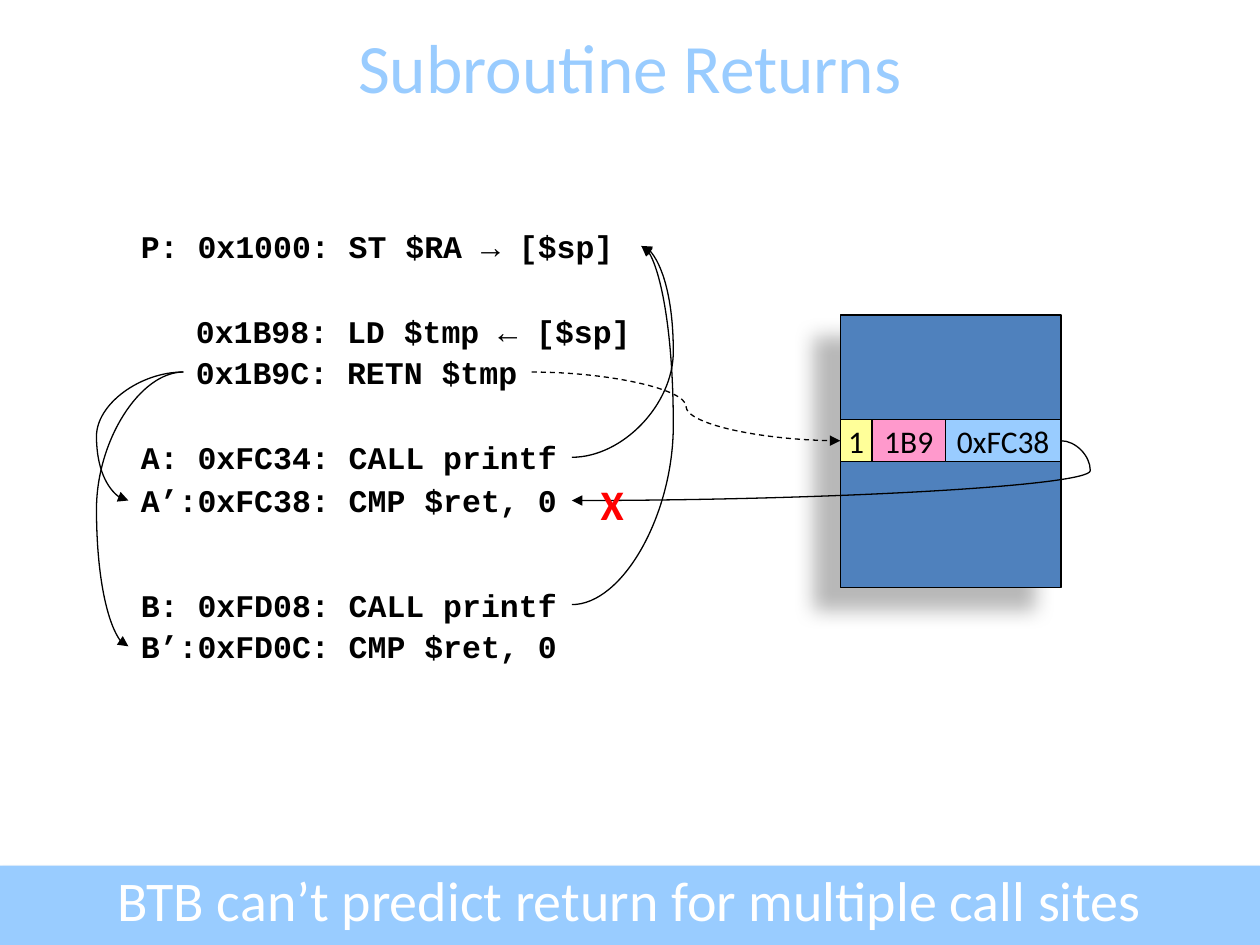
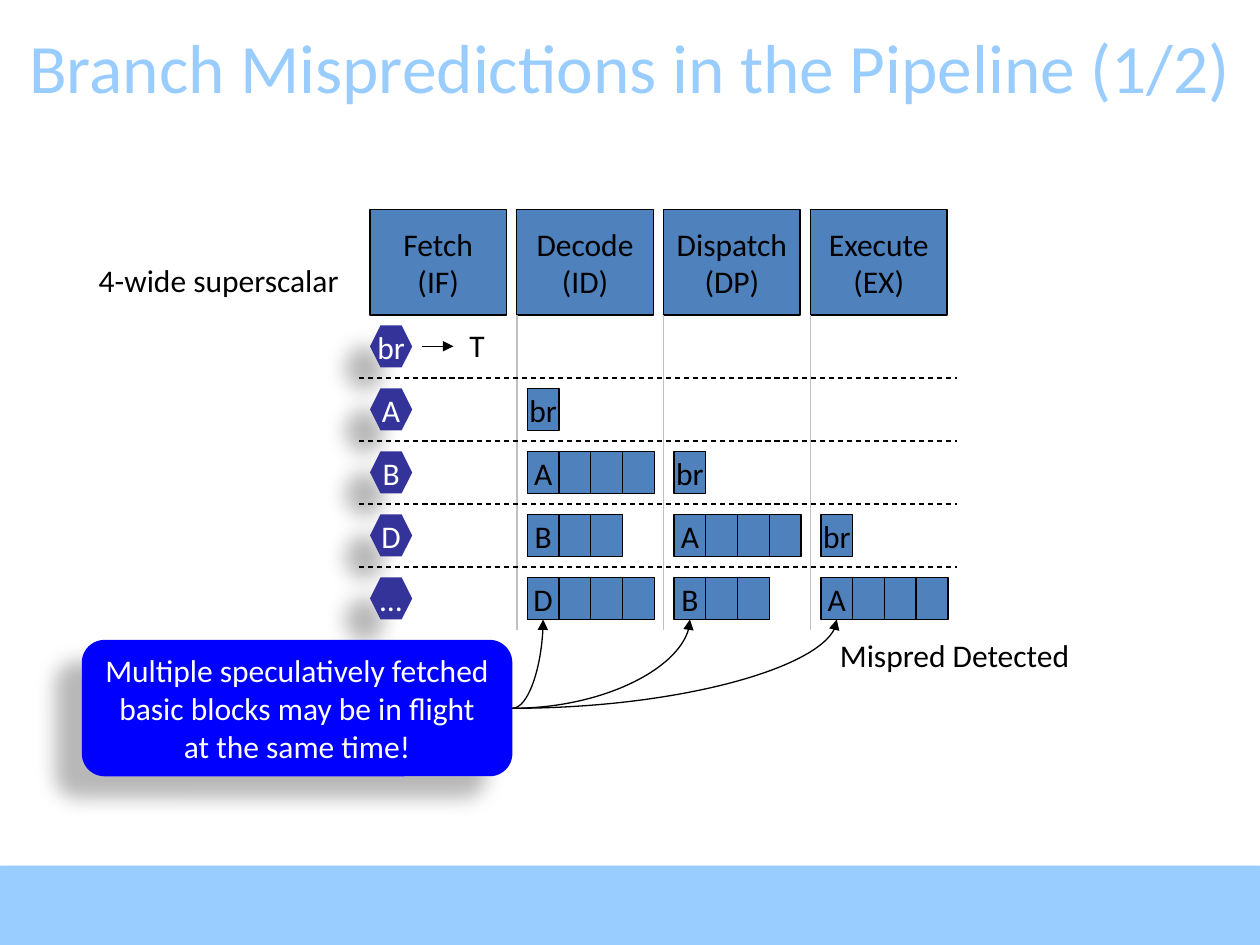
import dataclasses

import lxml.etree
import pptx
import pptx.dml.color
import pptx.enum.dml
import pptx.enum.shapes
import pptx.enum.text
import pptx.oxml.ns
import pptx.util

Cm = pptx.util.Cm
Pt = pptx.util.Pt
qn = pptx.oxml.ns.qn
SHAPE = pptx.enum.shapes.MSO_SHAPE
LINK = pptx.enum.shapes.MSO_CONNECTOR
ALIGN = pptx.enum.text.PP_ALIGN
ANCHOR = pptx.enum.text.MSO_ANCHOR
FIT = pptx.enum.text.MSO_AUTO_SIZE

WIDTH, HEIGHT = 25.4, 19.05


@dataclasses.dataclass(frozen=True)
class Theme:
    """Colours, fonts, type sizes and shadows of the deck."""
    sky: str = "99CCFF"
    steel: str = "4F81BD"
    navy: str = "333399"
    blue: str = "0000FF"
    pink: str = "FF99CC"
    lemon: str = "FFFF99"
    red: str = "FF0000"
    grey: str = "C0C0C0"
    black: str = "000000"
    white: str = "FFFFFF"
    font: str = "Calibri"
    mono: str = "Courier New"
    head: float = 39.6
    foot: float = 32
    mark: float = 24
    body: float = 18
    rule: float = 0.75
    # opacity %, blur pt, distance pt, direction degrees
    cast: tuple = (28, 11.8, 19.7, 141)
    edge: tuple = (35, 3.1, 1.8, 90)


def tint(code):
    """Turn a hex code into a colour."""
    return pptx.dml.color.RGBColor.from_string(code)


def node(parent, tag, **attrs):
    """Append one DrawingML element."""
    return lxml.etree.SubElement(parent, qn(tag), {k: str(v) for k, v in attrs.items()})


class Deck:
    """Holds the style and the current slide."""

    def __init__(self, theme):
        """Start a deck of the right size."""
        self.theme = theme
        self.show = pptx.Presentation()
        self.show.slide_width, self.show.slide_height = Cm(WIDTH), Cm(HEIGHT)
        self.layout = self.show.slide_layouts[5]
        self.area = None

    def page(self, title):
        """Add a slide with its title."""
        slide = self.show.slides.add_slide(self.layout)
        first = self.area is None
        self.area = slide.shapes
        if first:
            self.band()
        box = slide.shapes.title
        self.place(box, 0, 0.53, WIDTH, 1.6)
        box.text_frame.auto_size = FIT.NONE
        box.text_frame.vertical_anchor = ANCHOR.MIDDLE
        self.fill(box.text_frame, title, self.theme.sky, self.theme.head)

    def band(self):
        """Put the bottom band on the shared layout."""
        bar = self.shape(0, 17.45, WIDTH, 1.6, self.theme.sky, line=False, shade=self.theme.edge)
        self.layout.shapes.element.insert(2, bar.element)

    def group(self):
        """Send the next elements into a new group."""
        self.area = self.area.add_group_shape().shapes

    def place(self, item, x, y, w, h):
        """Move and size an element."""
        item.left, item.top, item.width, item.height = Cm(x), Cm(y), Cm(w), Cm(h)

    def fill(self, frame, text, color=None, size=None, font=None, bold=False, align=ALIGN.CENTER):
        """Fill a frame, one paragraph per line of text."""
        for i, line in enumerate(text.split("\n")):
            para = frame.add_paragraph() if i else frame.paragraphs[0]
            para.alignment = align
            run = para.add_run()
            run.text = line
            run.font.name = font or self.theme.font
            run.font.size = Pt(size or self.theme.body)
            run.font.bold = bold
            run.font.color.rgb = tint(color or self.theme.black)

    def label(self, x, y, w, text, h=1.02, wrap=False, **style):
        """Add a text box."""
        frame = self.area.add_textbox(Cm(x), Cm(y), Cm(w), Cm(h)).text_frame
        frame.word_wrap = wrap
        frame.auto_size = FIT.SHAPE_TO_FIT_TEXT
        self.fill(frame, text, **style)

    def code(self, x, y, w, text):
        """Add a line of code."""
        self.label(x, y, w, text, font=self.theme.mono, bold=True, align=ALIGN.LEFT)

    def shape(self, x, y, w, h, fill, text="", kind=SHAPE.RECTANGLE, line=True,
              color=None, shade=None):
        """Add a filled shape, with centred text if there is any."""
        item = self.area.add_shape(kind, Cm(x), Cm(y), Cm(w), Cm(h))
        item.fill.solid()
        item.fill.fore_color.rgb = tint(fill)
        if line:
            item.line.color.rgb = tint(self.theme.black)
            item.line.width = Pt(self.theme.rule)
        else:
            item.line.fill.background()
        item.shadow.inherit = False
        if shade:
            self.shadow(item, *shade)
        if text:
            item.text_frame.word_wrap = False
            item.text_frame.vertical_anchor = ANCHOR.MIDDLE
            self.fill(item.text_frame, text, color)
        return item

    def shadow(self, item, alpha, blur, dist, angle):
        """Give a shape an outer shadow."""
        effects = item.element.spPr.find(qn("a:effectLst"))
        outer = node(effects, "a:outerShdw", blurRad=int(Pt(blur)), dist=int(Pt(dist)),
                     dir=angle * 60000, algn="ctr", rotWithShape=0)
        color = node(outer, "a:srgbClr", val=self.theme.black)
        node(color, "a:alpha", val=alpha * 1000)

    def line(self, start, end, kind=LINK.STRAIGHT, color=None, dash=False, arrow=False):
        """Add a line from start to end."""
        item = self.area.add_connector(kind, *(Cm(v) for v in (*start, *end)))
        item.line.color.rgb = tint(color or self.theme.black)
        item.line.width = Pt(self.theme.rule)
        if dash:
            item.line.dash_style = pptx.enum.dml.MSO_LINE.DASH
        props = item.element.spPr
        if arrow:
            node(props.find(qn("a:ln")), "a:tailEnd", type="triangle")
        node(props, "a:effectLst")
        return item

    def curve(self, start, end, bend=None, dash=False):
        """Add a curved arrow; without a bend it is a quarter turn."""
        item = self.line(start, end, LINK.CURVE, dash=dash, arrow=True)
        geom = item.element.spPr.find(qn("a:prstGeom"))
        if bend is None:
            geom.set("prst", "curvedConnector2")
        else:
            node(geom.find(qn("a:avLst")), "a:gd", name="adj1", fmla=f"val {round(bend * 100000)}")


def returns(deck):
    """Draw the slide on subroutine returns."""
    theme = deck.theme
    deck.page("Subroutine Returns")
    left, inner, right, half = 2.59, 3.7, 11.53, 0.51
    proc, load, retn, call_a, next_a, call_b, next_b = 4.45, 6.17, 6.99, 8.71, 9.58, 11.68, 12.52
    wide = right - left
    deck.code(left, proc, 10.34, "P: 0x1000: ST $RA → [$sp]")
    deck.code(inner, load, 9.58, "0x1B98: LD $tmp ← [$sp]")
    deck.code(inner, retn, 7.02, "0x1B9C: RETN $tmp")
    deck.code(left, call_a, wide, "A: 0xFC34: CALL printf")
    deck.code(left, next_a, wide, "A’:0xFC38: CMP $ret, 0")
    deck.code(left, call_b, wide, "B: 0xFD08: CALL printf")
    deck.code(left, next_b, wide, "B’:0xFD0C: CMP $ret, 0")

    x, y, high = 16.94, 8.46, 0.85
    mid = y + high / 2
    deck.shape(x, 6.35, 4.45, 5.5, theme.steel, shade=theme.cast)
    edge = x
    for w, fill, text in ((0.64, theme.lemon, "1"), (1.48, theme.pink, "1B9"),
                          (2.33, theme.sky, "0xFC38")):
        deck.shape(edge, y, w, high, fill, text)
        edge += w

    for call in (call_a, call_b):
        deck.curve((right, call + half), (12.93, proc + half), 1.46)
    for back in (next_a, next_b):
        deck.curve((inner, retn + half), (left, back + half), 1.58)
    deck.curve((10.72, retn + half), (x, mid), 0.5, dash=True)
    deck.curve((edge, mid), (right, next_a + half), -0.06)
    deck.label(11.86, 9.53, 1.22, "X", h=1.27, color=theme.red, size=theme.mark,
               bold=True, align=ALIGN.LEFT)
    deck.label(0, 17.32, WIDTH, "BTB can’t predict return for multiple call sites",
               h=1.6, wrap=True, color=theme.white, size=theme.foot)


def pipeline(deck):
    """Draw the slide on mispredictions in the pipeline."""
    theme = deck.theme
    deck.page("Branch Mispredictions in the Pipeline (1/2)")
    stages = ("Fetch\n(IF)", "Decode\n(ID)", "Dispatch\n(DP)", "Execute\n(EX)")
    blocks = (("br", 1), ("A", 4), ("B", 3), ("D", 4), ("…", 0))
    cols = [7.46 + 2.96 * i for i in range(len(stages))]
    rows = [6.56 + 1.27 * i for i in range(len(blocks))]
    cell, high, gap = 0.64, 0.85, 0.21

    for x, name in zip(cols, stages):
        deck.shape(x, 4.23, 2.75, 2.12, theme.steel, name)
    for x in cols[1:]:
        deck.line((x, 6.35), (x, 12.7), color=theme.grey)
    for y in rows[1:]:
        deck.line((7.24, y - gap), (19.3, y - gap), dash=True)

    for r, y in enumerate(rows):
        mark = deck.shape(cols[0], y, high, high, theme.navy, blocks[r][0], SHAPE.HEXAGON,
                          line=False, color=theme.white, shade=theme.cast)
        mark.adjustments[0] = 0.25
        # a block moves one stage to the right on each row
        for s in range(1, min(r, 3) + 1):
            name, count = blocks[r - s]
            for i in range(count):
                deck.shape(cols[s] + gap + i * cell, y, cell, high, theme.steel,
                           "" if i else name)

    deck.line((8.51, 6.98), (9.14, 6.98), arrow=True)
    deck.label(9.17, 6.45, 0.89, "T")
    deck.label(1.73, 5.13, 5.36, "4-wide superscalar")
    deck.label(16.64, 12.7, 5.21, "Mispred Detected")

    deck.group()
    deck.shape(1.65, 12.9, 8.68, 2.75, theme.blue,
               "Multiple speculatively fetched\nbasic blocks may be in flight\nat the same time!",
               SHAPE.ROUNDED_RECTANGLE, line=False, color=theme.white, shade=theme.cast)
    for x in cols[1:]:
        deck.curve((10.33, 14.28), (x + gap + cell / 2, rows[-1] + high))


deck = Deck(Theme())
returns(deck)
pipeline(deck)
deck.show.save("out.pptx")
